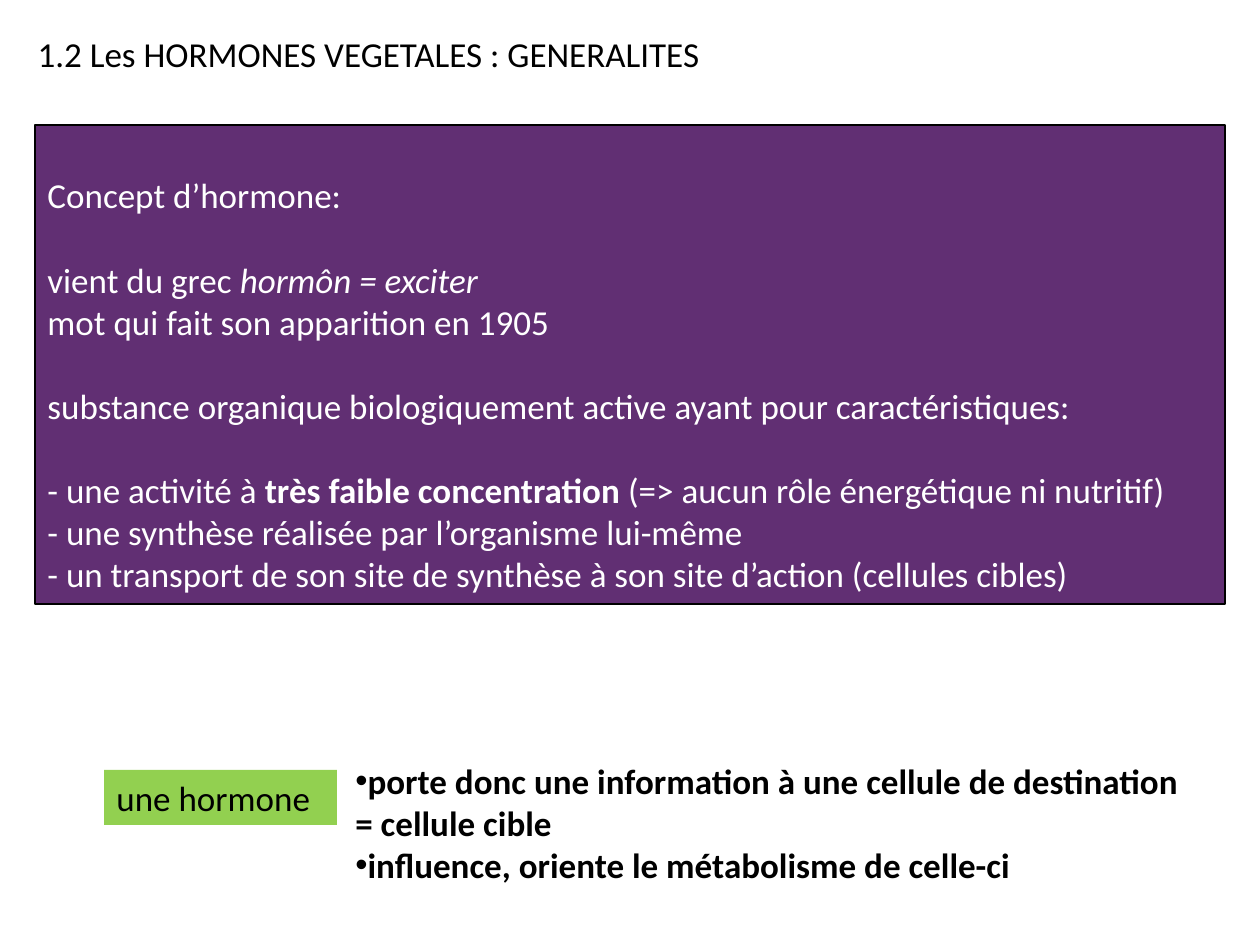
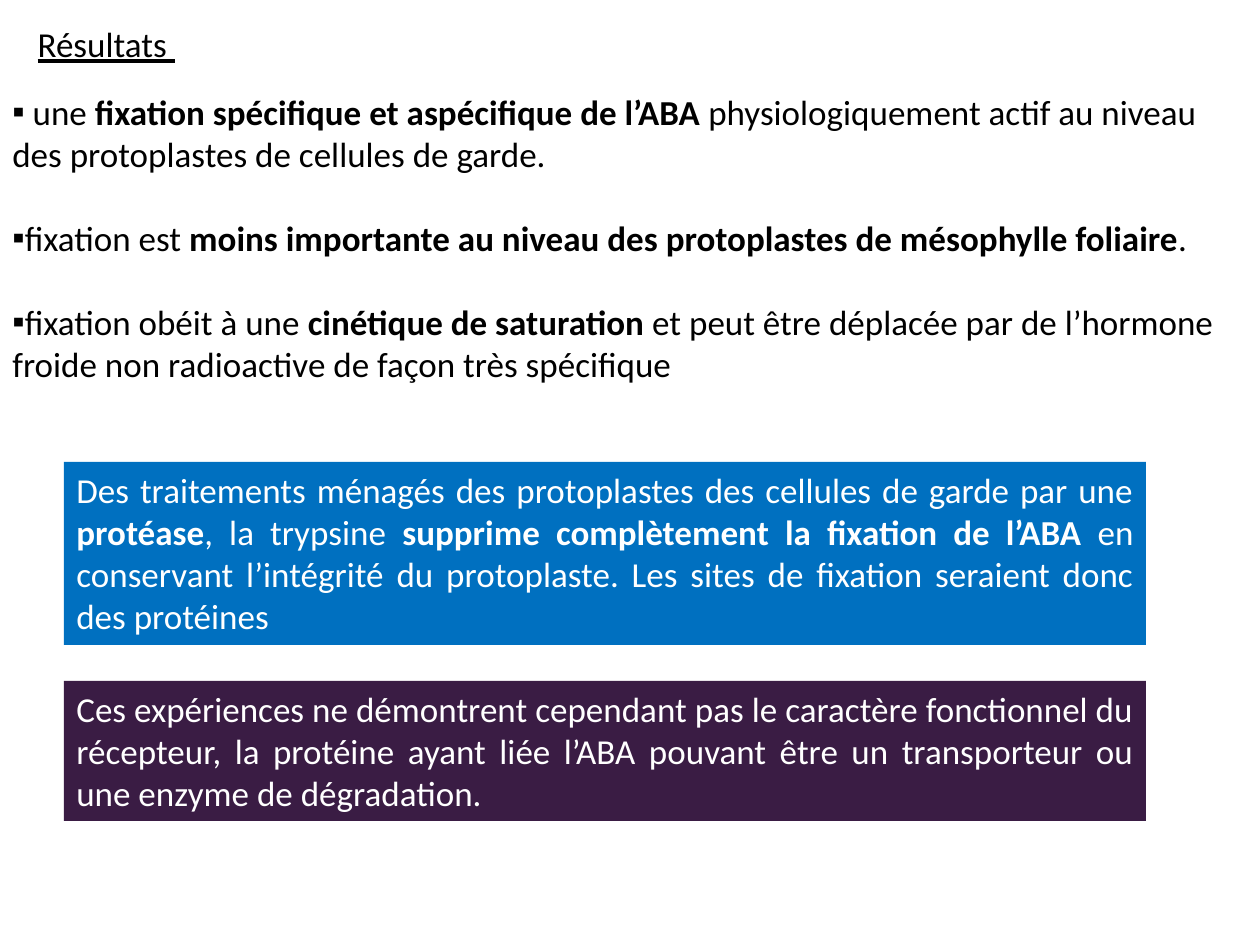
from dataclasses import dataclass

from lxml.etree import SubElement
from pptx import Presentation
from pptx.dml.color import RGBColor
from pptx.enum.shapes import MSO_SHAPE
from pptx.enum.text import MSO_ANCHOR, MSO_AUTO_SIZE, PP_ALIGN
from pptx.oxml.ns import qn
from pptx.util import Pt

PX = 914400 / 126
SLIDE_SIZE = (1260, 945)
FONT = "Calibri"
FONT_SIZE = Pt(20)
LINE_GAP = Pt(24)

BLACK = RGBColor(0x00, 0x00, 0x00)
WHITE = RGBColor(0xFF, 0xFF, 0xFF)
PURPLE = RGBColor(0x61, 0x2F, 0x73)
DARK_PURPLE = RGBColor(0x3A, 0x1C, 0x44)
BLUE = RGBColor(0x00, 0x70, 0xC0)
GREEN = RGBColor(0x92, 0xD0, 0x50)


@dataclass
class Para:
    """A paragraph: runs are (text, style) with style "", "b", "i" or "u"."""
    runs: list
    gap: bool = False
    bullet: str = ""


def plain(text, gap=False):
    return Para([(text, "")], gap)


def px(*lengths):
    return [round(length * PX) for length in lengths]


def add_bullet(paragraph, char):
    properties = paragraph._p.get_or_add_pPr()
    properties.set("marL", "0")
    properties.set("indent", "0")
    SubElement(properties, qn("a:buFont")).set("typeface", "Arial")
    SubElement(properties, qn("a:buChar")).set("char", char)


def write(shape, paras, color=BLACK, align=PP_ALIGN.LEFT, wrap=True):
    frame = shape.text_frame
    frame.word_wrap = wrap
    frame.auto_size = MSO_AUTO_SIZE.NONE
    frame.vertical_anchor = MSO_ANCHOR.TOP
    for index, para in enumerate(paras):
        paragraph = frame.add_paragraph() if index else frame.paragraphs[0]
        paragraph.alignment = align
        paragraph.space_before = LINE_GAP if para.gap else Pt(0)
        if para.bullet:
            add_bullet(paragraph, para.bullet)
        for text, style in para.runs:
            run = paragraph.add_run()
            run.text = text
            font = run.font
            font.name, font.size = FONT, FONT_SIZE
            font.color.rgb = color
            font.bold = style == "b"
            font.italic = style == "i"
            font.underline = style == "u"


def add_titled_slide(deck, title, box, style=""):
    slide = deck.slides.add_slide(deck.slide_layouts[5])
    heading = slide.shapes.title
    heading.left, heading.top, heading.width, heading.height = px(*box)
    write(heading, [Para([(title, style)])], wrap=False)
    return slide


def add_text(shapes, box, paras):
    write(shapes.add_textbox(*px(*box)), paras)


def add_panel(shapes, box, fill, paras, color=WHITE, align=PP_ALIGN.LEFT):
    panel = shapes.add_shape(MSO_SHAPE.RECTANGLE, *px(*box))
    panel.shadow.inherit = False
    panel.fill.solid()
    panel.fill.fore_color.rgb = fill
    panel.line.fill.background()
    write(panel, paras, color, align)
    return panel


def build_hormone_concept(deck):
    slide = add_titled_slide(
        deck, "1.2 Les HORMONES VEGETALES : GENERALITES", (25, 26, 701, 55))
    concept = add_panel(slide.shapes, (35, 125, 1190, 479), PURPLE, [
        plain("Concept d’hormone:"),
        Para([("vient du grec ", ""), ("hormôn = exciter", "i")], gap=True),
        plain("mot qui fait son apparition en 1905"),
        plain("substance organique biologiquement active ayant pour "
              "caractéristiques:", gap=True),
        Para([("- une activité à ", ""), ("très faible concentration ", "b"),
              ("(=> aucun rôle énergétique ni nutritif)", "")], gap=True),
        plain("- une synthèse réalisée par l’organisme lui-même"),
        plain("- un transport de son site de synthèse à son site d’action "
              "(cellules cibles)"),
    ])
    concept.line.color.rgb = BLACK
    concept.line.width = Pt(0.75)
    concept.text_frame.margin_top = px(49)[0]

    role = slide.shapes.add_group_shape().shapes
    add_text(role, (343, 753, 863, 141), [
        Para([("porte donc une information à une cellule de destination "
               "= cellule cible", "b")], bullet="•"),
        Para([("influence, oriente le métabolisme de celle-ci", "b")],
             bullet="•"),
    ])
    add_panel(role, (104, 770, 233, 55), GREEN, [plain("une hormone")], BLACK)


def build_results(deck):
    slide = add_titled_slide(deck, "Résultats ", (25, 16, 164, 55), "u")
    add_text(slide.shapes, (0, 84, 1260, 310), [
        Para([(" une ", ""),
              ("fixation spécifique et aspécifique de l’ABA ", "b"),
              ("physiologiquement actif au niveau des protoplastes de "
               "cellules de garde.", "")], bullet="▪"),
        Para([("fixation est ", ""),
              ("moins importante au niveau des protoplastes de mésophylle "
               "foliaire", "b"), (".", "")], gap=True, bullet="▪"),
        Para([("fixation obéit à une ", ""), ("cinétique de saturation ", "b"),
              ("et peut être déplacée par de l’hormone froide non radioactive "
               "de façon très spécifique", "")], gap=True, bullet="▪"),
    ])
    protease = [Para([
        ("Des traitements ménagés des protoplastes des cellules de garde par "
         "une ", ""), ("protéase", "b"), (", la trypsine ", ""),
        ("supprime complètement la fixation de l’ABA ", "b"),
        ("en conservant l’intégrité du protoplaste. Les sites de fixation "
         "seraient donc des protéines", "")])]
    limits = [plain(
        "Ces expériences ne démontrent cependant pas le caractère fonctionnel "
        "du récepteur, la protéine ayant liée l’ABA pouvant être un "
        "transporteur ou une enzyme de dégradation.")]
    for top, height, fill, conclusion in ((462, 183, BLUE, protease),
                                          (681, 140, DARK_PURPLE, limits)):
        add_panel(slide.shapes, (64, top, 1082, height), fill, conclusion,
                  align=PP_ALIGN.JUSTIFY)


def main():
    deck = Presentation()
    deck.slide_width, deck.slide_height = px(*SLIDE_SIZE)
    build_hormone_concept(deck)
    build_results(deck)
    deck.save("out.pptx")


if __name__ == "__main__":
    main()
